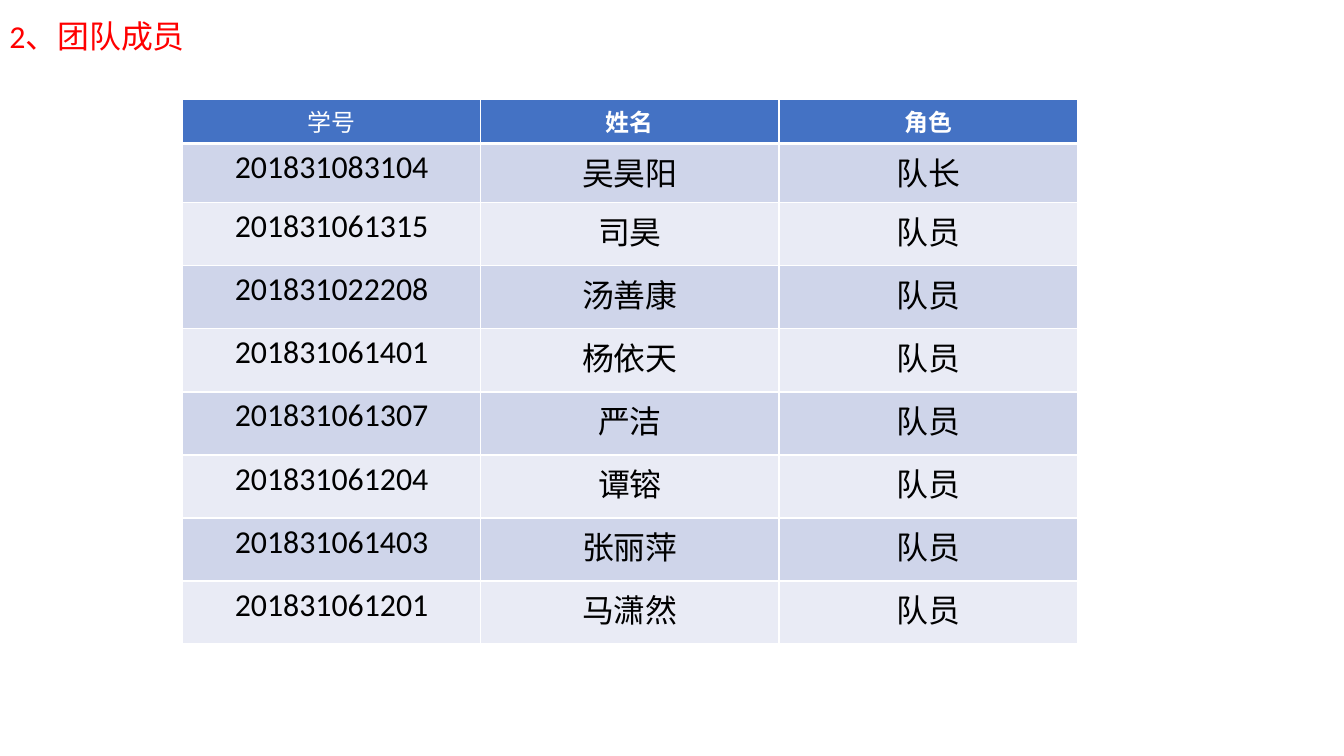
"""Build the team member slide: a heading and a table of IDs, names and roles."""
from dataclasses import dataclass

import lxml.etree
import pptx
import pptx.dml.color
import pptx.enum.text
import pptx.oxml.ns
import pptx.slide
import pptx.table
import pptx.text.text
import pptx.util

RED = pptx.dml.color.RGBColor(0xFF, 0x00, 0x00)
WHITE = pptx.dml.color.RGBColor(0xFF, 0xFF, 0xFF)
BLACK = pptx.dml.color.RGBColor(0x00, 0x00, 0x00)
HEADER_BLUE = pptx.dml.color.RGBColor(0x44, 0x72, 0xC4)
BAND_DARK = pptx.dml.color.RGBColor(0xCF, 0xD5, 0xEA)
BAND_LIGHT = pptx.dml.color.RGBColor(0xE9, 0xEB, 0xF5)

SLIDE_WIDTH = pptx.util.Inches(14.06)
SLIDE_HEIGHT = pptx.util.Inches(7.91)

ID_COLUMN = 0
COLUMN_SHARE = 22.19
HEADER_SHARE, LEADER_SHARE, MEMBER_SHARE = 4.93, 7.84, 8.34
HEADER_BORDERS = {"lnL": 1, "lnR": 1, "lnT": 1, "lnB": 3}

HEADING_FORMAT = {"name": "Calibri", "size": pptx.util.Pt(24), "bold": False}
HEADER_FORMAT = {"name": "Calibri", "size": pptx.util.Pt(18), "bold": True}
MEMBER_FORMAT = {"name": "Calibri", "size": pptx.util.Pt(24), "bold": False}


@dataclass(frozen=True)
class Member:
    student_id: str
    name: str
    role: str = "队员"

    def texts(self) -> tuple[str, str, str]:
        return self.student_id, self.name, self.role


HEADER = Member("学号", "姓名", "角色")
MEMBERS = [
    Member("201831083104", "吴昊阳", "队长"),
    Member("201831061315", "司昊"),
    Member("201831022208", "汤善康"),
    Member("201831061401", "杨依天"),
    Member("201831061307", "严洁"),
    Member("201831061204", "谭镕"),
    Member("201831061403", "张丽萍"),
    Member("201831061201", "马潇然"),
]


def across(percent: float) -> pptx.util.Emu:
    return pptx.util.Emu(round(SLIDE_WIDTH * percent / 100))


def down(percent: float) -> pptx.util.Emu:
    return pptx.util.Emu(round(SLIDE_HEIGHT * percent / 100))


def write(paragraph: pptx.text.text._Paragraph, text: str,
          color: pptx.dml.color.RGBColor, text_format: dict) -> None:
    run = paragraph.add_run()
    run.text = text
    for attribute, value in text_format.items():
        setattr(run.font, attribute, value)
    run.font.color.rgb = color


def add_header_borders(cell: pptx.table._Cell) -> None:
    properties = cell._tc.get_or_add_tcPr()
    for side, points in HEADER_BORDERS.items():
        border = lxml.etree.SubElement(
            properties, pptx.oxml.ns.qn(f"a:{side}"), w=str(pptx.util.Pt(points)))
        fill = lxml.etree.SubElement(border, pptx.oxml.ns.qn("a:solidFill"))
        lxml.etree.SubElement(fill, pptx.oxml.ns.qn("a:srgbClr"), val=str(WHITE))


def fill_row(roster: pptx.table.Table, row: int, member: Member,
             background: pptx.dml.color.RGBColor,
             color: pptx.dml.color.RGBColor, text_format: dict) -> None:
    for column, text in enumerate(member.texts()):
        cell = roster.cell(row, column)
        if row == 0:
            add_header_borders(cell)
        cell.fill.solid()
        cell.fill.fore_color.rgb = background
        paragraph = cell.text_frame.paragraphs[0]
        paragraph.alignment = pptx.enum.text.PP_ALIGN.CENTER
        is_bold = text_format["bold"] and column != ID_COLUMN
        write(paragraph, text, color, {**text_format, "bold": is_bold})


def add_roster(slide: pptx.slide.Slide) -> None:
    row_shares = [HEADER_SHARE, LEADER_SHARE] + [MEMBER_SHARE] * (len(MEMBERS) - 1)
    column_count = len(HEADER.texts())
    roster = slide.shapes.add_table(
        len(row_shares), column_count, across(13.58), down(13.15),
        across(COLUMN_SHARE * column_count), down(sum(row_shares))).table
    for column in roster.columns:
        column.width = across(COLUMN_SHARE)
    for row, share in zip(roster.rows, row_shares):
        row.height = down(share)
    fill_row(roster, 0, HEADER, HEADER_BLUE, WHITE, HEADER_FORMAT)
    for number, member in enumerate(MEMBERS, start=1):
        band = BAND_DARK if number % 2 else BAND_LIGHT
        fill_row(roster, number, member, band, BLACK, MEMBER_FORMAT)


def add_heading(slide: pptx.slide.Slide) -> None:
    heading = slide.shapes.add_textbox(
        across(0), down(1.64), across(19.63), down(6.32)).text_frame
    heading.word_wrap = True
    heading.auto_size = pptx.enum.text.MSO_AUTO_SIZE.SHAPE_TO_FIT_TEXT
    write(heading.paragraphs[0], "2、团队成员", RED, HEADING_FORMAT)


def main() -> None:
    presentation = pptx.Presentation()
    presentation.slide_width = SLIDE_WIDTH
    presentation.slide_height = SLIDE_HEIGHT
    slide = presentation.slides.add_slide(presentation.slide_layouts[6])
    add_roster(slide)
    add_heading(slide)
    presentation.save("out.pptx")


if __name__ == "__main__":
    main()
